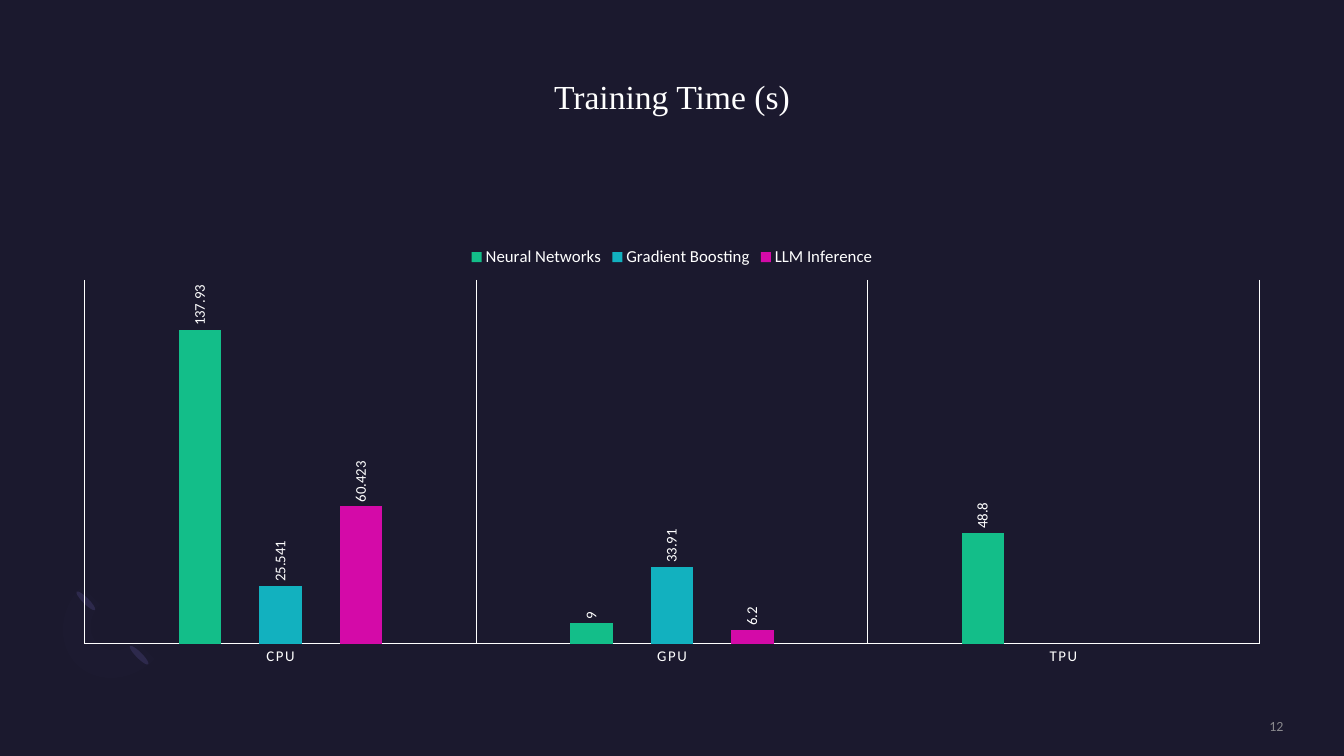
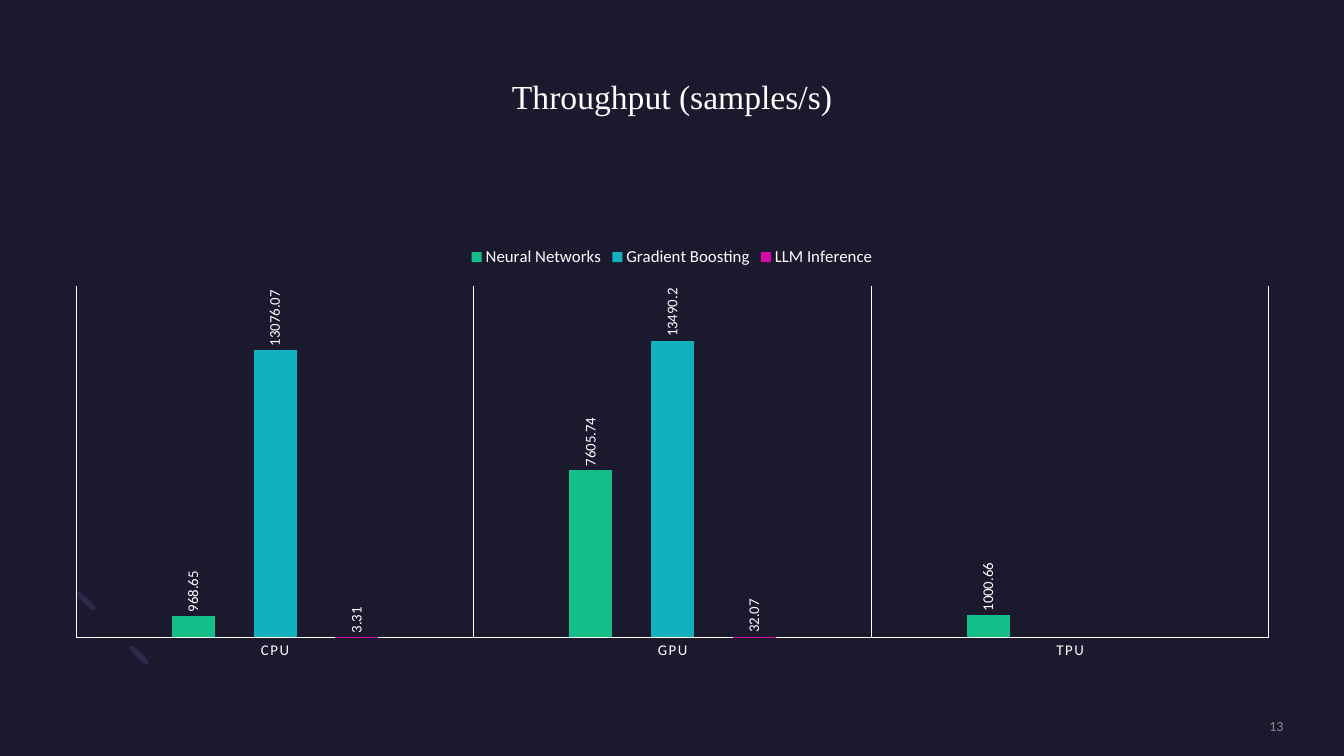
from math import cos, pi, sin, sqrt

from lxml import etree
from pptx import Presentation
from pptx.chart.data import CategoryChartData
from pptx.dml.color import RGBColor
from pptx.enum.chart import XL_CHART_TYPE, XL_LABEL_POSITION, XL_LEGEND_POSITION, XL_TICK_MARK
from pptx.enum.shapes import MSO_SHAPE
from pptx.enum.text import MSO_ANCHOR, PP_ALIGN
from pptx.oxml.ns import qn
from pptx.util import Inches, Pt

COLUMN_CHART = XL_CHART_TYPE.COLUMN_CLUSTERED
LABEL_ABOVE = XL_LABEL_POSITION.OUTSIDE_END
LEGEND_TOP = XL_LEGEND_POSITION.TOP
NO_TICKS = XL_TICK_MARK.NONE
OVAL = MSO_SHAPE.OVAL
TOP, MIDDLE = MSO_ANCHOR.TOP, MSO_ANCHOR.MIDDLE
CENTER, RIGHT = PP_ALIGN.CENTER, PP_ALIGN.RIGHT

BACKGROUND, WHITE, GRAY = "1B192E", "FFFFFF", "A6A6A6"
DOT, RING = "2C284A", "7771B2"
SERIES_COLORS = ("13BE89", "12B1BF", "D40AA8")
TITLE_FONT, BODY_FONT = "Times New Roman", "Calibri"

# Positions are in hundredths of the slide: left, top, width, height.
TITLE_BOX = (4.5, 10.67, 91, 19.47)
CHART_BOX = (4.5, 31.2, 91, 58)
NUMBER_BOX = (81.6, 94.93, 13.9, 2.27)
DOT_CENTERS = ((10.35, 86.67), (6.38, 79.47))
DOT_SIZE = (0.45, 3.47)
RING_CENTER = (8.78, 82.4)
RING_RADII = (6.8, 7.73)
RING_STEPS = 24

PROCESSORS = ("CPU", "GPU", "TPU")
MODELS = ("Neural Networks", "Gradient Boosting", "LLM Inference")
SLIDES = (
    {
        "title": "Training Time (s)",
        "number": 12,
        "rows": ((137.93, 9, 48.8), (25.541, 33.91, None), (60.423, 6.2, None)),
        "maximum": 160,
    },
    {
        "title": "Throughput (samples/s)",
        "number": 13,
        "rows": ((968.65, 7605.74, 1000.66), (13076.07, 13490.2, None), (3.31, 32.07, None)),
        "maximum": 16000,
        "plot_area": {"x": 0.013, "y": 0.114, "w": 0.975, "h": 0.802},
    },
)


def rgb(value):
    return RGBColor.from_string(value)


def set_alpha(element, percent):
    """Make the first solid colour inside the element partly transparent."""
    color = next(element.iter(qn("a:srgbClr")))
    etree.SubElement(color, qn("a:alpha")).set("val", str(percent * 1000))


class Deck:
    """Holds the presentation, its style and the slide being filled."""

    def __init__(self):
        self.presentation = Presentation()
        self.presentation.slide_width = Inches(13.33)
        self.presentation.slide_height = Inches(7.5)
        fill = self.presentation.slide_master.background.fill
        fill.solid()
        fill.fore_color.rgb = rgb(BACKGROUND)
        self.slide = None

    def x(self, share):
        return round(self.presentation.slide_width * share / 100)

    def y(self, share):
        return round(self.presentation.slide_height * share / 100)

    def box(self, left, top, width, height):
        return self.x(left), self.y(top), self.x(width), self.y(height)

    def style_font(self, font, size, color=WHITE, name=BODY_FONT):
        font.size = Pt(size)
        font.name = name
        font.color.rgb = rgb(color)

    def paint(self, shape, color):
        shape.shadow.inherit = False
        shape.fill.solid()
        shape.fill.fore_color.rgb = rgb(color)
        shape.line.fill.background()

    def add_slide(self, title, number):
        self.slide = self.presentation.slides.add_slide(self.presentation.slide_layouts[6])
        for center in DOT_CENTERS:
            self.add_dot(*center)
        self.add_half_ring()
        heading = self.add_text(title, TITLE_BOX, 24, CENTER, TOP, name=TITLE_FONT)
        heading.line_spacing = 0.9
        footer = self.add_text(str(number), NUMBER_BOX, 10, RIGHT, MIDDLE, color=GRAY)
        set_alpha(footer.runs[0].font._element, 80)

    def add_dot(self, center_x, center_y):
        width, height = DOT_SIZE
        dot = self.slide.shapes.add_shape(
            OVAL, *self.box(center_x - width / 2, center_y - height / 2, width, height))
        dot.rotation = 135
        self.paint(dot, DOT)

    def add_half_ring(self):
        """Draw a faint half ring that opens to the upper right."""
        center_x, center_y = self.x(RING_CENTER[0]), self.y(RING_CENTER[1])
        along, across = (self.y(radius) / sqrt(2) for radius in RING_RADII)

        def point(scale, step):
            angle = pi * step / RING_STEPS
            u, v = scale * along * cos(angle), scale * across * sin(angle)
            return round(center_x + u - v), round(center_y + u + v)

        steps = range(RING_STEPS + 1)
        points = [point(1, step) for step in steps]
        points += [point(0.5, step) for step in reversed(steps)]
        builder = self.slide.shapes.build_freeform(*points[0])
        builder.add_line_segments(points[1:], close=True)
        ring = builder.convert_to_shape()
        self.paint(ring, RING)
        set_alpha(ring._element.spPr, 2)

    def add_text(self, text, box, size, alignment, anchor, color=WHITE, name=BODY_FONT):
        frame = self.slide.shapes.add_textbox(*self.box(*box)).text_frame
        frame.word_wrap = True
        frame.vertical_anchor = anchor
        frame.margin_left = frame.margin_top = frame.margin_right = frame.margin_bottom = 0
        frame.text = text
        paragraph = frame.paragraphs[0]
        paragraph.alignment = alignment
        self.style_font(paragraph.runs[0].font, size, color, name)
        return paragraph

    def add_column_chart(self, rows, maximum, plot_area=None):
        data = CategoryChartData()
        data.categories = PROCESSORS
        for model, values in zip(MODELS, rows):
            data.add_series(model, values)
        chart = self.slide.shapes.add_chart(COLUMN_CHART, *self.box(*CHART_BOX), data).chart
        self.style_font(chart.font, 10)
        chart.has_title = False
        chart.has_legend = True
        chart.legend.position = LEGEND_TOP
        chart.legend.include_in_layout = False
        self.style_font(chart.legend.font, 12)

        plot = chart.plots[0]
        plot.gap_width = 444
        plot.overlap = -90
        plot.vary_by_categories = False
        for series, color in zip(plot.series, SERIES_COLORS):
            self.style_series(series, color)
        self.style_axes(chart, maximum)
        if plot_area:
            self.place_plot_area(chart, plot_area)

    def style_series(self, series, color):
        series.invert_if_negative = False
        series.format.fill.solid()
        series.format.fill.fore_color.rgb = rgb(color)
        labels = series.data_labels
        labels.show_value = True
        labels.position = LABEL_ABOVE
        self.style_font(labels.font, 10.6)
        body = labels._element.find(qn("c:txPr")).find(qn("a:bodyPr"))
        body.set("rot", "-5400000")
        body.set("vert", "horz")

    def style_axes(self, chart, maximum):
        value_axis = chart.value_axis
        value_axis.minimum_scale = 0
        value_axis.maximum_scale = maximum
        value_axis.has_major_gridlines = False
        value_axis.visible = False

        category_axis = chart.category_axis
        category_axis.major_tick_mark = NO_TICKS
        category_axis.minor_tick_mark = NO_TICKS
        category_axis.has_major_gridlines = True
        for part in (category_axis, category_axis.major_gridlines):
            part.format.line.color.rgb = rgb(WHITE)
            part.format.line.width = Pt(0.75)
        self.style_font(category_axis.tick_labels.font, 10.6)
        letters = next(category_axis._element.iter(qn("a:defRPr")))
        letters.set("spc", "120")

    def place_plot_area(self, chart, shares):
        """Fix the inner plot area, given as shares of the chart's size."""
        area = next(chart._chartSpace.iter(qn("c:plotArea")))
        layout = area.find(qn("c:layout"))
        if layout is None:
            layout = etree.Element(qn("c:layout"))
            area.insert(0, layout)
        manual = etree.SubElement(layout, qn("c:manualLayout"))
        settings = {"layoutTarget": "inner", "xMode": "edge", "yMode": "edge", **shares}
        for name, value in settings.items():
            etree.SubElement(manual, qn("c:" + name)).set("val", str(value))


def main():
    deck = Deck()
    for content in SLIDES:
        deck.add_slide(content["title"], content["number"])
        deck.add_column_chart(content["rows"], content["maximum"], content.get("plot_area"))
    deck.presentation.save("out.pptx")


if __name__ == "__main__":
    main()
